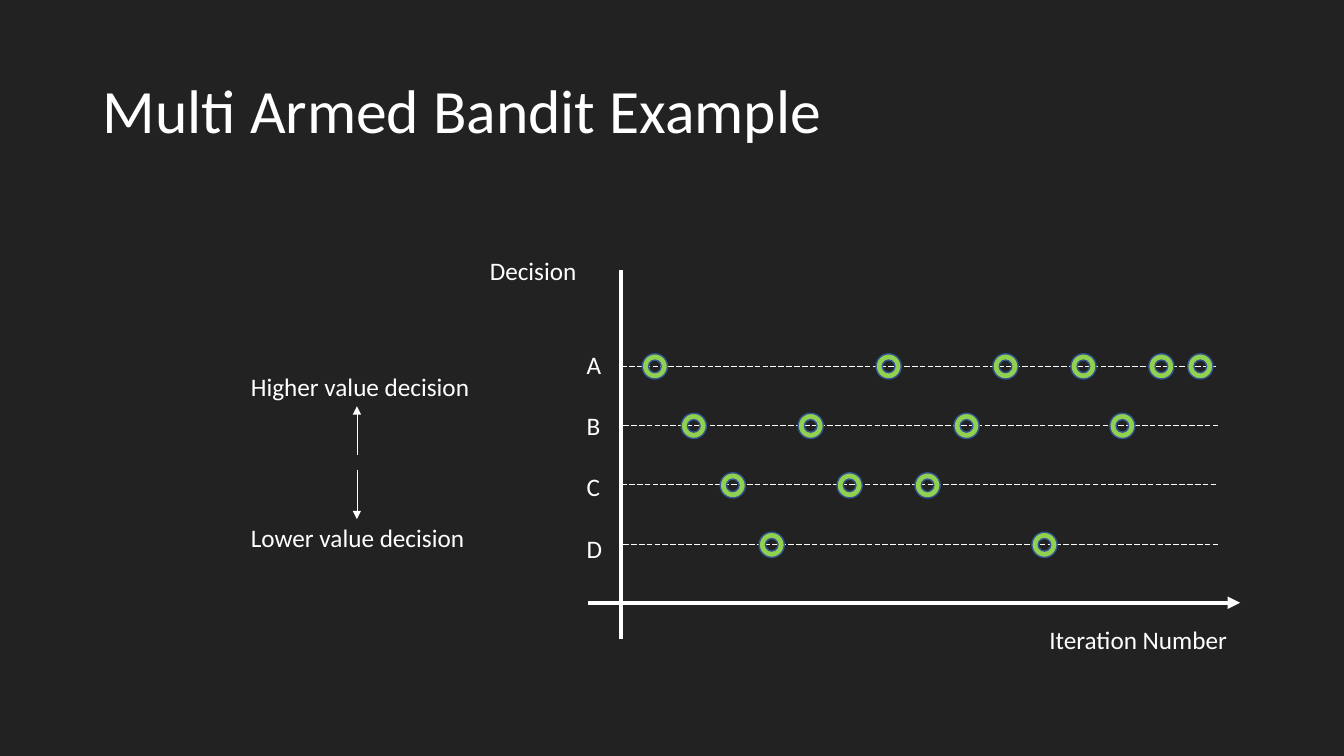
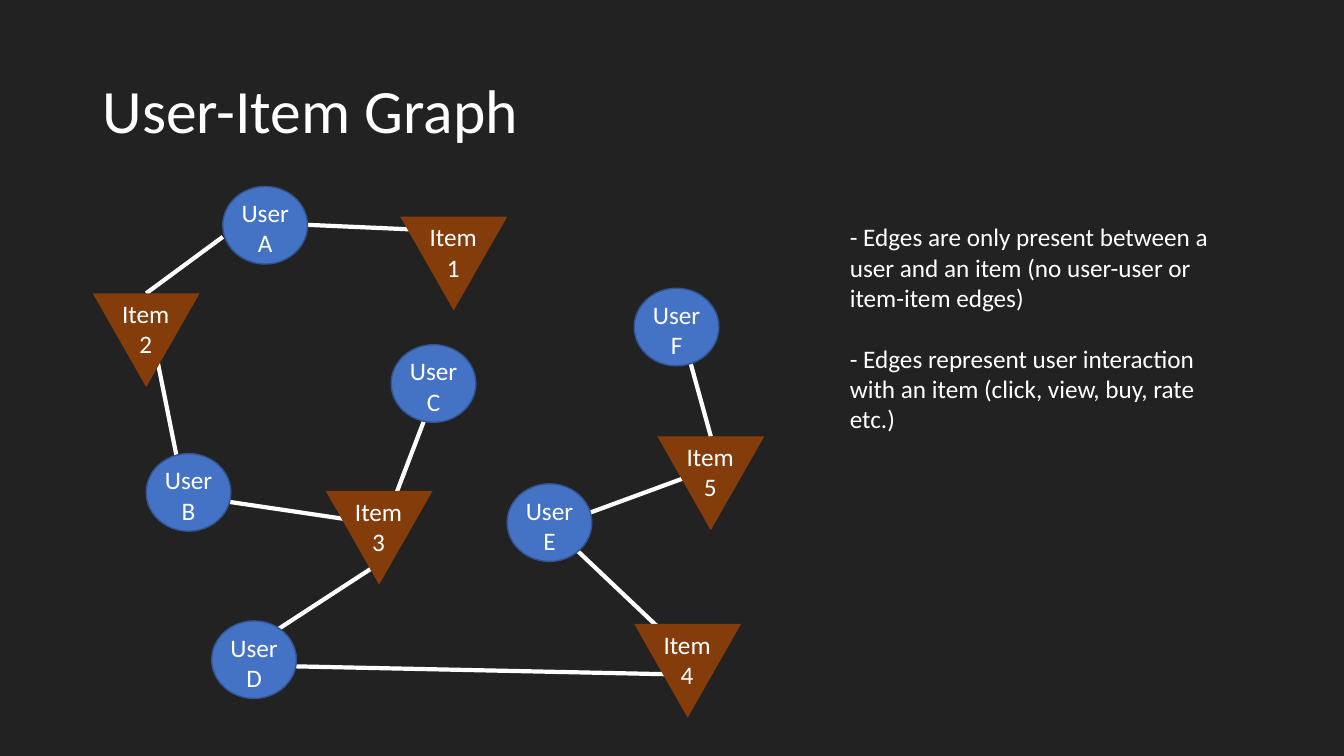
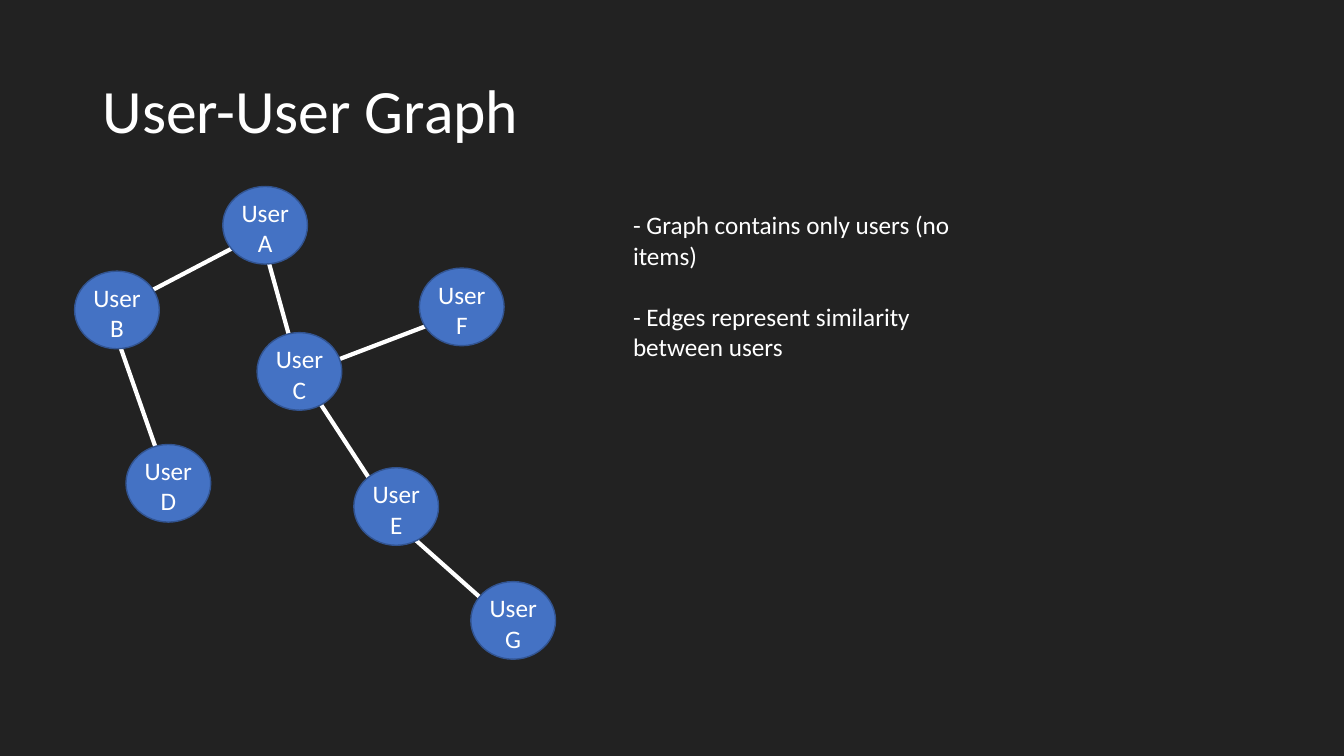
from lxml import etree
from pptx import Presentation
from pptx.dml.color import RGBColor
from pptx.enum.dml import MSO_LINE
from pptx.enum.shapes import MSO_CONNECTOR, MSO_SHAPE
from pptx.enum.text import MSO_ANCHOR, PP_ALIGN
from pptx.oxml.ns import qn
from pptx.util import Inches, Pt

STRAIGHT = MSO_CONNECTOR.STRAIGHT
LONG_DASH = MSO_LINE.LONG_DASH
DONUT, ELLIPSE, TRIANGLE = MSO_SHAPE.DONUT, MSO_SHAPE.OVAL, MSO_SHAPE.ISOSCELES_TRIANGLE
TOP, MIDDLE = MSO_ANCHOR.TOP, MSO_ANCHOR.MIDDLE
LEFT, CENTER = PP_ALIGN.LEFT, PP_ALIGN.CENTER

BLANK_LINE = 22  # points, the height of one body line


def color(hex_string):
    return RGBColor.from_string(hex_string)


class Deck:
    FONT = "Calibri"
    BACK, WHITE = "222222", "FFFFFF"
    BLUE, OUTLINE, BROWN, GREEN = "4472C4", "325491", "843C0B", "92D050"
    BODY, TITLE = 18, 44

    def __init__(self):
        self.prs = Presentation()
        self.prs.slide_width, self.prs.slide_height = Inches(13.33), Inches(7.5)
        fill = self.prs.slide_master.background.fill
        fill.solid()
        fill.fore_color.rgb = color(self.BACK)
        self.slide = None

    def new_slide(self, title):
        self.slide = self.prs.slides.add_slide(self.prs.slide_layouts[6])
        self.text(0.92, 0.4, 11.5, 1.45, [title], size=self.TITLE, anchor=MIDDLE, spacing=0.9)

    def text(self, x, y, w, h, lines, size=BODY, align=LEFT, anchor=TOP,
             spacing=1.0, gap=0, wrap=True, parent=None):
        """Add a text box with one paragraph per line and gap points between them."""
        shapes = (parent or self.slide).shapes
        tf = shapes.add_textbox(Inches(x), Inches(y), Inches(w), Inches(h)).text_frame
        tf.word_wrap = wrap
        tf.vertical_anchor = anchor
        for i, line in enumerate(lines):
            p = tf.paragraphs[0] if i == 0 else tf.add_paragraph()
            p.alignment = align
            p.line_spacing = spacing
            p.space_before = Pt(gap if i else 0)
            r = p.add_run()
            r.text = line
            r.font.name = self.FONT
            r.font.size = Pt(size)
            r.font.color.rgb = color(self.WHITE)

    def line(self, x1, y1, x2, y2, width=3, dash=None, arrow=False):
        sp = self.slide.shapes.add_connector(
            STRAIGHT, Inches(x1), Inches(y1), Inches(x2), Inches(y2))
        sp.line.color.rgb = color(self.WHITE)
        sp.line.width = Pt(width)
        if dash:
            sp.line.dash_style = dash
        props = sp._element.spPr
        if arrow:
            etree.SubElement(props.find(qn("a:ln")), qn("a:tailEnd"), type="triangle")
        etree.SubElement(props, qn("a:effectLst"))

    def shape(self, kind, x, y, w, h, fill, outline=None, parent=None):
        shapes = (parent or self.slide).shapes
        sp = shapes.add_shape(kind, Inches(x), Inches(y), Inches(w), Inches(h))
        sp.shadow.inherit = False
        sp.fill.solid()
        sp.fill.fore_color.rgb = color(fill)
        if outline:
            sp.line.color.rgb = color(outline)
            sp.line.width = Pt(1)
        else:
            sp.line.fill.background()
        return sp

    def user(self, name, x, y):
        group = self.slide.shapes.add_group_shape()
        self.shape(ELLIPSE, x, y, 0.84, 0.77, self.BLUE, self.OUTLINE, group)
        self.text(x + 0.08, y + 0.06, 0.68, 0.71, ["User", name],
                  align=CENTER, wrap=False, parent=group)

    def item(self, name, x, y):
        group = self.slide.shapes.add_group_shape()
        self.shape(TRIANGLE, x, y, 1.06, 0.93, self.BROWN, parent=group).rotation = 180
        self.text(x + 0.14, y, 0.77, 0.71, ["Item", name],
                  align=CENTER, wrap=False, parent=group)

    def graph(self, edges, users, items=()):
        """Draw the edges first, so that the nodes cover their ends."""
        for edge in edges:
            self.line(*edge)
        for node in users:
            self.user(*node)
        for node in items:
            self.item(*node)

    def remarks(self, x, y, lines):
        self.text(x, y, 3.81, 2.22, lines, gap=BLANK_LINE)


def bandit_slide(deck):
    deck.new_slide("Multi Armed Bandit Example")
    deck.line(5.83, 5.98, 12.3, 5.98, arrow=True)
    deck.line(6.16, 6.34, 6.16, 2.68)
    deck.text(10.31, 6.14, 2.14, 0.4, ["Iteration Number"])
    deck.text(4.76, 2.48, 2.14, 0.4, ["Decision"])

    decisions = "ABCD"
    deck.text(5.72, 3.42, 2.14, 2.22, decisions, gap=BLANK_LINE)
    row_y = {name: 3.63 + 0.59 * i for i, name in enumerate(decisions)}
    for i, y in enumerate(row_y.values()):
        x = 6.16 + 0.02 * (i % 2)
        deck.line(x, y, x + 5.9, y, width=0.5, dash=LONG_DASH)

    deck.line(3.54, 4.51, 3.54, 4.03, width=0.5, arrow=True)
    deck.text(2.39, 3.63, 2.5, 0.4, ["Higher value decision"])
    deck.line(3.54, 4.66, 3.54, 5.15, width=0.5, arrow=True)
    deck.text(2.39, 5.13, 2.5, 0.4, ["Lower value decision"])

    choices = "ABCDBCACBADABAA"
    step = (11.78 - 6.37) / (len(choices) - 1)
    for i, name in enumerate(choices):
        deck.shape(DONUT, 6.37 + step * i, row_y[name] - 0.12, 0.25, 0.25,
                   deck.GREEN, deck.OUTLINE)


def user_item_slide(deck):
    deck.new_slide("User-Item Graph")
    deck.graph(
        edges=[(3.86, 5.08, 4.31, 3.9), (3.04, 2.23, 4.17, 2.28),
               (1.75, 4.52, 1.52, 3.37), (1.45, 2.91, 2.21, 2.35),
               (7.05, 4.33, 6.81, 3.46), (5.76, 5.12, 6.82, 4.73),
               (5.67, 5.41, 6.81, 6.49), (2.89, 6.61, 6.66, 6.69),
               (2.7, 6.28, 3.76, 5.59), (3.63, 5.18, 2.28, 4.98)],
        users=[("A", 2.21, 1.85), ("B", 1.45, 4.5), ("C", 3.88, 3.42),
               ("D", 2.1, 6.16), ("E", 5.03, 4.8), ("F", 6.29, 2.86)],
        items=[("1", 3.97, 2.15), ("2", 0.92, 2.91), ("3", 3.23, 4.87),
               ("4", 6.29, 6.19), ("5", 6.52, 4.33)])
    deck.remarks(8.33, 2.15, [
        "- Edges are only present between a user and an item (no user-user or item-item edges)",
        "- Edges represent user interaction with an item (click, view, buy, rate etc.)"])


def user_user_slide(deck):
    deck.new_slide("User-User Graph")
    deck.graph(
        edges=[(2.59, 2.33, 2.97, 3.7), (1.45, 2.91, 2.52, 2.35),
               (4.58, 3.1, 2.98, 3.71), (3.88, 5.08, 3.07, 3.84),
               (3.81, 5.08, 5.08, 6.21), (1.67, 4.8, 1.13, 3.26)],
        users=[("A", 2.21, 1.85), ("B", 0.74, 2.69), ("C", 2.55, 3.3), ("D", 1.25, 4.41),
               ("E", 3.51, 4.64), ("F", 4.16, 2.66), ("G", 4.67, 5.77)])
    deck.remarks(6.18, 2.03, [
        "- Graph contains only users (no items)",
        "- Edges represent similarity between users"])


def main():
    deck = Deck()
    bandit_slide(deck)
    user_item_slide(deck)
    user_user_slide(deck)
    deck.prs.save("out.pptx")


if __name__ == "__main__":
    main()
